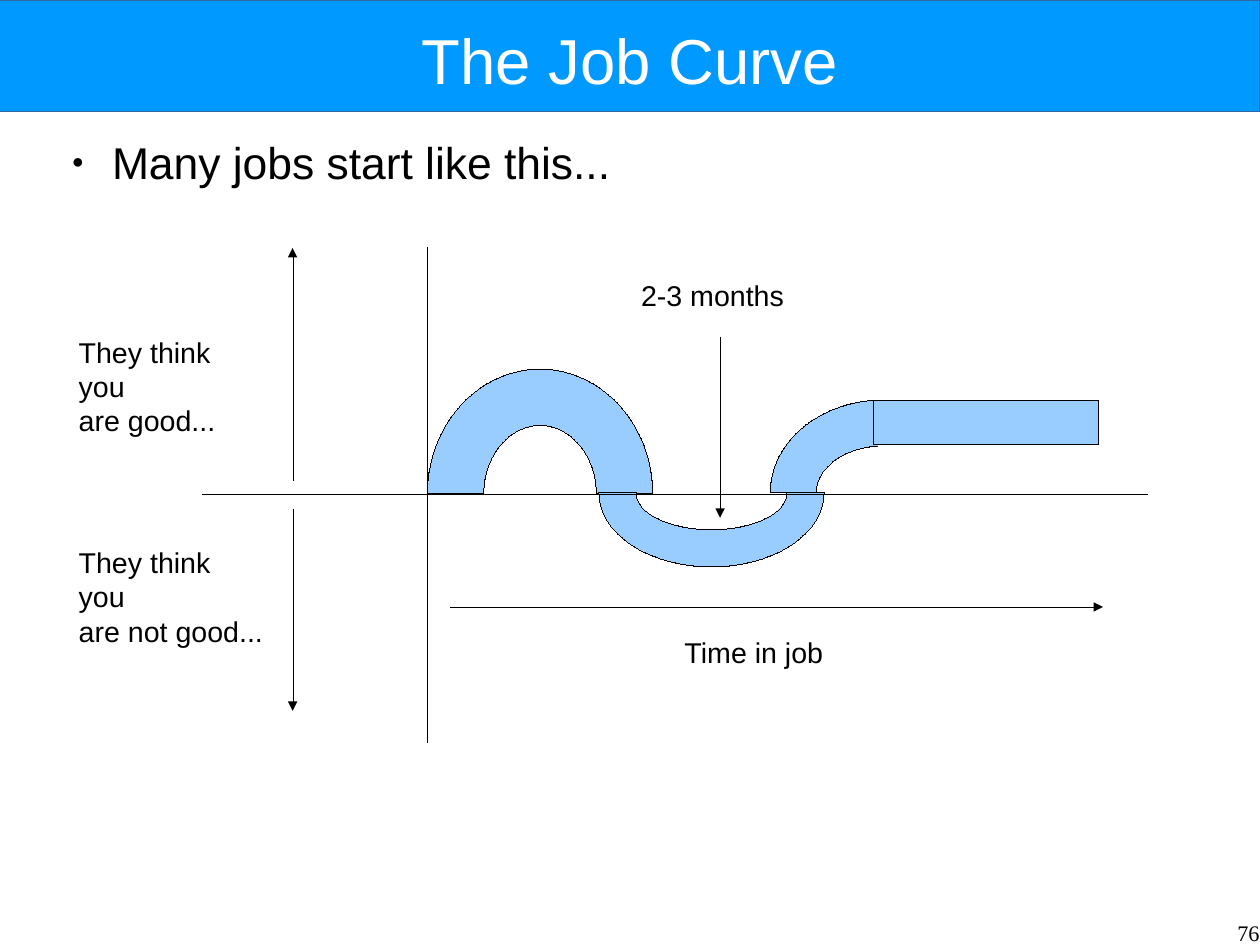
from lxml import etree
from pptx import Presentation
from pptx.dml.color import RGBColor
from pptx.enum.shapes import MSO_CONNECTOR, MSO_SHAPE
from pptx.enum.text import MSO_ANCHOR, MSO_AUTO_SIZE, PP_ALIGN
from pptx.oxml.ns import qn
from pptx.util import Inches, Pt

# A 28 by 21 cm page, in inches
PAGE_WIDTH, PAGE_HEIGHT = 28 / 2.54, 21 / 2.54

COLORS = {
    "banner": "0099FF",
    "banner_edge": "3465A4",
    "curve": "99CCFF",
    "ink": "000000",
    "paper": "FFFFFF",
}


def color(key):
    return RGBColor.from_string(COLORS[key])


def set_hairline(line, key):
    line.color.rgb = color(key)
    outline = line._get_or_add_ln()
    outline.set("w", "0")
    return outline


def add_block(slide, preset, box, fill, edge=None):
    block = slide.shapes.add_shape(preset, *map(Inches, box))
    block.shadow.inherit = False
    block.fill.solid()
    block.fill.fore_color.rgb = color(fill)
    if edge:
        set_hairline(block.line, edge)
    else:
        block.line.fill.background()
    return block


def add_line(slide, start, end, arrow=False):
    connector = slide.shapes.add_connector(
        MSO_CONNECTOR.STRAIGHT, *map(Inches, (*start, *end)))
    outline = set_hairline(connector.line, "ink")
    if arrow:
        etree.SubElement(outline, qn("a:tailEnd"), type="triangle")
    etree.SubElement(connector._element.spPr, qn("a:effectLst"))


def add_text(slide, box, lines, size, ink="ink", font="Arial",
             align=PP_ALIGN.LEFT, anchor=MSO_ANCHOR.TOP, inset=(0, 0)):
    frame = slide.shapes.add_textbox(*map(Inches, box)).text_frame
    frame.word_wrap = True
    frame.vertical_anchor = anchor
    frame.margin_left = frame.margin_right = Inches(inset[0])
    frame.margin_top = frame.margin_bottom = Inches(inset[1])
    frame.text = "\n".join(lines)
    for paragraph in frame.paragraphs:
        paragraph.alignment = align
        paragraph.font.size = Pt(size)
        paragraph.font.name = font
        paragraph.font.color.rgb = color(ink)
    return frame


def add_label(slide, box, *lines):
    frame = add_text(slide, box, lines, 18, inset=(0.1, 0.05))
    frame.word_wrap = False
    frame.auto_size = MSO_AUTO_SIZE.SHAPE_TO_FIT_TEXT


def add_title(slide, box):
    left, top, width, height = box
    add_block(slide, MSO_SHAPE.RECTANGLE, box, "banner", "banner_edge")
    add_text(slide, (left + 0.55, top + 0.09, width - 1.1, height - 0.13),
             ["The Job Curve"], 40, "paper",
             align=PP_ALIGN.CENTER, anchor=MSO_ANCHOR.MIDDLE)


def add_bullet(slide, box):
    frame = add_text(slide, box, ["Many jobs start like this..."], 28)
    properties = frame.paragraphs[0]._p.get_or_add_pPr()
    properties.set("marL", str(Inches(0.47)))
    properties.set("indent", str(Inches(-0.35)))
    # Bullet elements go ahead of the default run properties
    tint = etree.Element(qn("a:buClr"))
    etree.SubElement(tint, qn("a:srgbClr"), val=COLORS["ink"])
    size = etree.Element(qn("a:buSzPct"), val="45000")
    typeface = etree.Element(qn("a:buFont"), typeface="Arial")
    mark = etree.Element(qn("a:buChar"), char="●")
    for position, element in enumerate((tint, size, typeface, mark)):
        properties.insert(position, element)
    frame.paragraphs[0].space_after = Pt(5.8)


def add_job_curve(slide, box):
    left, top, width, height = box
    right, bottom = left + width, top + height
    axis_x, base_y = left + 3.15, top + 2.16
    arc_width, arc_step = 1.97, 1.5

    # Vertical axis
    add_line(slide, (axis_x, top), (axis_x, bottom))

    # Opinion scale
    scale_x = left + 1.97
    add_line(slide, (scale_x, base_y - 0.12), (scale_x, top), arrow=True)
    add_line(slide, (scale_x, base_y + 0.12), (scale_x, bottom - 0.28), arrow=True)
    add_label(slide, (left, top + 0.71, 1.82, 0.66), "They think you", "are good...")
    add_label(slide, (left, top + 2.55, 1.82, 0.66), "They think you", "are not good...")

    # Rise, dip and recovery: rise above the base line, height, rotation
    arcs = [(1.1, 2.17, 0), (0.67, 1.3, 180), (0.83, 1.61, 0)]
    for i, (rise, arc_height, rotation) in enumerate(arcs):
        arc = add_block(slide, MSO_SHAPE.BLOCK_ARC,
                        (axis_x + i * arc_step, base_y - rise, arc_width, arc_height),
                        "curve", "ink")
        arc.rotation = rotation

    # Steady level replaces the falling half of the last arc
    level_x = axis_x + 3.9
    add_block(slide, MSO_SHAPE.RECTANGLE, (level_x + 0.04, base_y - 1.38, 1.18, 1.38), "paper")
    add_block(slide, MSO_SHAPE.RECTANGLE, (level_x, base_y - 0.83, arc_width, 0.39),
              "curve", "ink")

    # Base line and time scale
    add_line(slide, (left + 1.18, base_y), (right, base_y))
    add_line(slide, (axis_x + 0.2, base_y + 0.98), (right - 0.39, base_y + 0.98), arrow=True)
    add_label(slide, (axis_x + 2.15, base_y + 1.18, 1.42, 0.58), "Time in job")

    # Pointer to the dip
    dip_x = axis_x + 2.56
    add_line(slide, (dip_x, base_y - 1.38), (dip_x, base_y + 0.2), arrow=True)
    add_label(slide, (dip_x - 0.79, base_y - 1.95, 1.45, 0.58), "2-3 months")


def add_page_number(slide, box):
    add_text(slide, box, ["76"], 14, font="Times New Roman", align=PP_ALIGN.RIGHT)


def main():
    deck = Presentation()
    deck.slide_width, deck.slide_height = Inches(PAGE_WIDTH), Inches(PAGE_HEIGHT)
    slide = deck.slides.add_slide(deck.slide_layouts[6])
    add_title(slide, (0, 0, PAGE_WIDTH, 0.98))
    add_bullet(slide, (0.51, 1.18, 9.92, 0.6))
    add_job_curve(slide, (0.59, 2.17, 9.45, 4.33))
    add_page_number(slide, (8.45, 8.04, 2.57, 0.23))
    deck.save("out.pptx")


if __name__ == "__main__":
    main()
